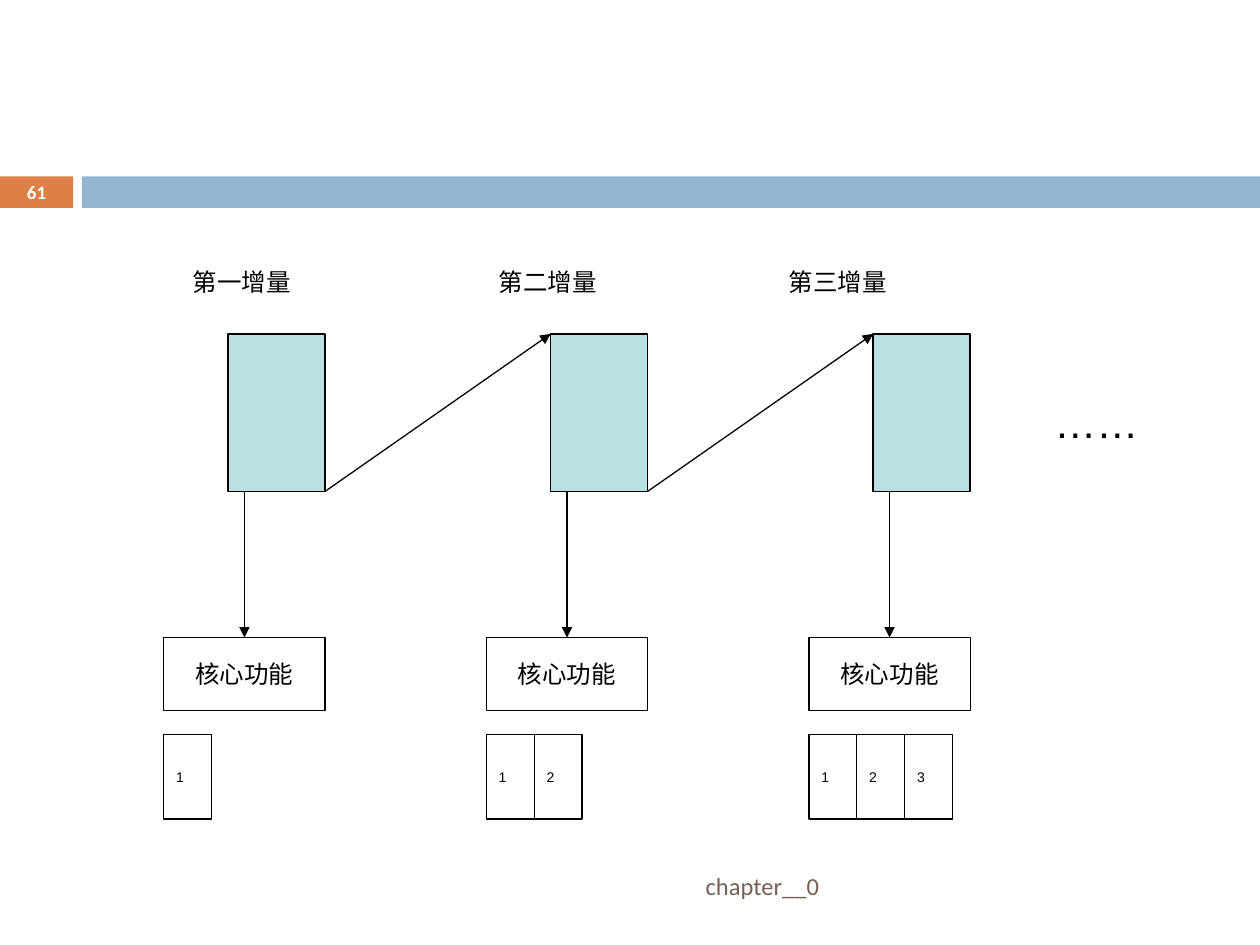
from lxml.etree import SubElement
from pptx import Presentation
from pptx.dml.color import RGBColor
from pptx.enum.shapes import MSO_CONNECTOR, MSO_SHAPE
from pptx.enum.text import MSO_ANCHOR, PP_ALIGN
from pptx.oxml.ns import qn
from pptx.util import Inches, Pt

COLORS = {
    "orange": "DD8047",
    "blue": "94B6D2",
    "brown": "775F55",
    "teal": "BBE0E3",
    "black": "000000",
    "white": "FFFFFF",
}
INCREMENTS = [("第一增量", 1.43), ("第二增量", 3.86), ("第三增量", 6.16)]
COLUMN_LEFT, COLUMN_PITCH, COLUMN_WIDTH = 1.3, 2.56, 1.28
MODULE_WIDTH, MODULE_TOP, MODULE_HEIGHT = 0.77, 2.65, 1.25
CORE_TOP, CORE_HEIGHT = 5.06, 0.58
CELL_TOP, CELL_WIDTH, CELL_HEIGHT = 5.83, 0.38, 0.67


def color(name):
    """Return the named colour."""
    return RGBColor.from_string(COLORS[name])


def set_text(shape, text, size, align=PP_ALIGN.JUSTIFY, anchor=MSO_ANCHOR.MIDDLE,
             font_name="Arial", font_color="black", bold=False):
    """Write one formatted paragraph into a shape."""
    text_frame = shape.text_frame
    text_frame.text = text
    text_frame.word_wrap = True
    text_frame.vertical_anchor = anchor
    paragraph = text_frame.paragraphs[0]
    paragraph.alignment = align
    font = paragraph.runs[0].font
    font.size = Pt(size)
    font.name = font_name
    font.bold = bold
    font.color.rgb = color(font_color)


def add_text(slide, box, text, size, **style):
    """Add a text box at a left, top, width, height box."""
    shape = slide.shapes.add_textbox(*map(Inches, box))
    set_text(shape, text, size, **style)
    return shape


def add_box(slide, box, fill=None, outlined=True):
    """Add a rectangle with an optional fill and black outline."""
    shape = slide.shapes.add_shape(MSO_SHAPE.RECTANGLE, *map(Inches, box))
    shape.shadow.inherit = False
    if fill:
        shape.fill.solid()
        shape.fill.fore_color.rgb = color(fill)
    else:
        shape.fill.background()
    if outlined:
        shape.line.color.rgb = color("black")
        shape.line.width = Pt(0.75)
    else:
        shape.line.fill.background()
    return shape


def add_arrow(slide, start, end):
    """Add a straight black arrow between two points."""
    connector = slide.shapes.add_connector(
        MSO_CONNECTOR.STRAIGHT, *map(Inches, start + end))
    connector.line.color.rgb = color("black")
    connector.line.width = Pt(0.75)
    properties = connector.line._get_or_add_ln()
    SubElement(properties, qn("a:tailEnd"), type="triangle")
    SubElement(connector._element.spPr, qn("a:effectLst"))
    return connector


def add_header(slide, left, top, width, height):
    """Draw the page number block and the band beside it."""
    number_width, band_left = 0.58, 0.65
    number = add_box(slide, (left, top, number_width, height), "orange", False)
    number.text_frame.margin_top = number.text_frame.margin_bottom = 0
    set_text(number, "61", 10.8, align=PP_ALIGN.CENTER, font_name="Calibri",
             font_color="white", bold=True)
    add_box(slide, (left + band_left, top, width - band_left, height), "blue", False)


def add_increment(slide, left, width, cell_count):
    """Draw one increment: module, arrow, core function and numbered cells."""
    module_left = left + width - MODULE_WIDTH
    add_box(slide, (module_left, MODULE_TOP, MODULE_WIDTH, MODULE_HEIGHT), "teal")
    core = add_box(slide, (left, CORE_TOP, width, CORE_HEIGHT))
    set_text(core, "核心功能", 14, align=PP_ALIGN.CENTER)
    for index in range(cell_count):
        cell = add_box(slide, (left + index * CELL_WIDTH, CELL_TOP,
                               CELL_WIDTH, CELL_HEIGHT))
        set_text(cell, str(index + 1), 8)
    middle = left + width / 2
    arrow = add_arrow(slide, (middle, MODULE_TOP + MODULE_HEIGHT), (middle, CORE_TOP))
    arrow.end_connect(core, 0)


def add_diagram(slide, left, pitch, width):
    """Draw the increments, their labels and the arrows linking them."""
    for index, (label, label_left) in enumerate(INCREMENTS):
        column_left = left + index * pitch
        add_text(slide, (label_left, 2.07, 1.54, 0.34), label, 14,
                 anchor=MSO_ANCHOR.TOP)
        add_increment(slide, column_left, width, index + 1)
        if index:
            add_arrow(slide,
                      (column_left - pitch + width, MODULE_TOP + MODULE_HEIGHT),
                      (column_left + width - MODULE_WIDTH, MODULE_TOP))
    add_text(slide, (8.27, 3.1, 1.06, 0.51), "……", 24, anchor=MSO_ANCHOR.TOP)


def main():
    """Build and save the slide."""
    presentation = Presentation()
    presentation.slide_width = Inches(10)
    presentation.slide_height = Inches(7.5)
    slide = presentation.slides.add_slide(presentation.slide_layouts[6])
    add_header(slide, 0, 1.4, 10, 0.25)
    add_diagram(slide, COLUMN_LEFT, COLUMN_PITCH, COLUMN_WIDTH)
    add_text(slide, (0.67, 6.83, 5.93, 0.4), "chapter__0", 14,
             align=PP_ALIGN.RIGHT, font_name="Calibri", font_color="brown")
    presentation.save("out.pptx")


if __name__ == "__main__":
    main()
